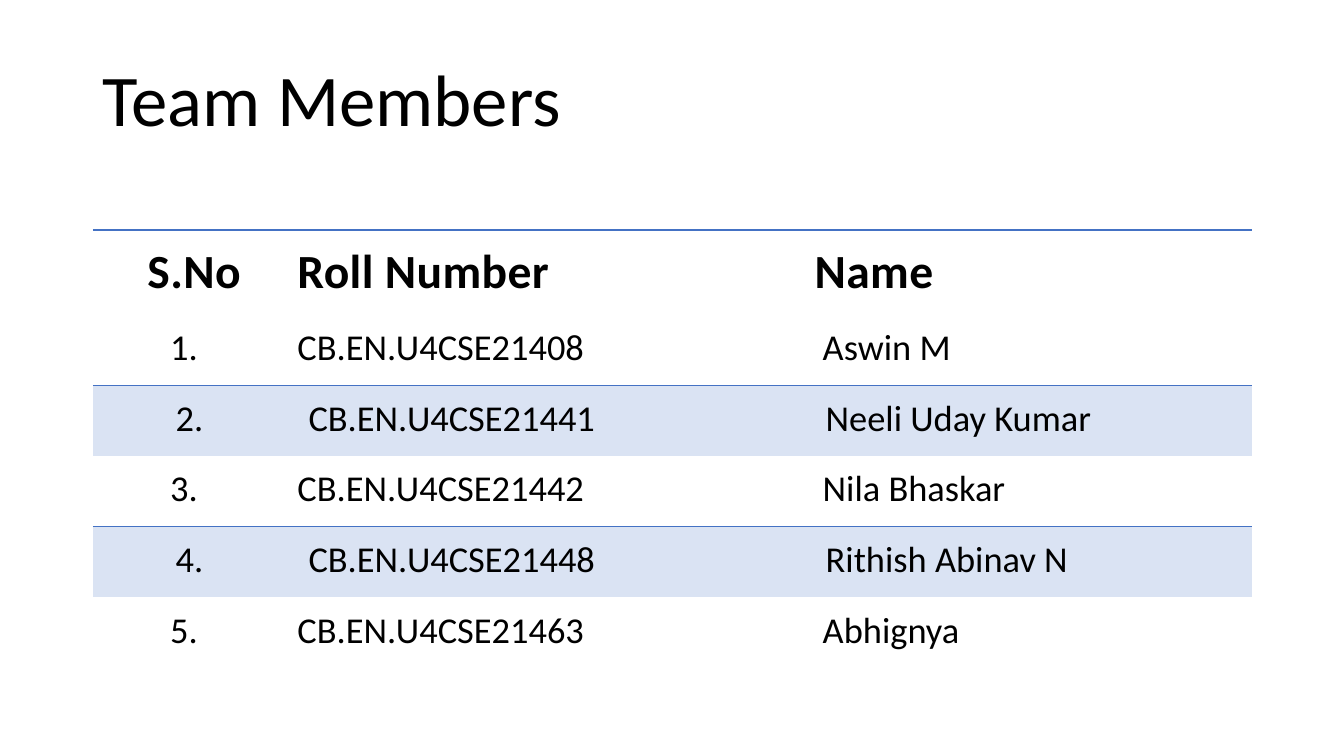
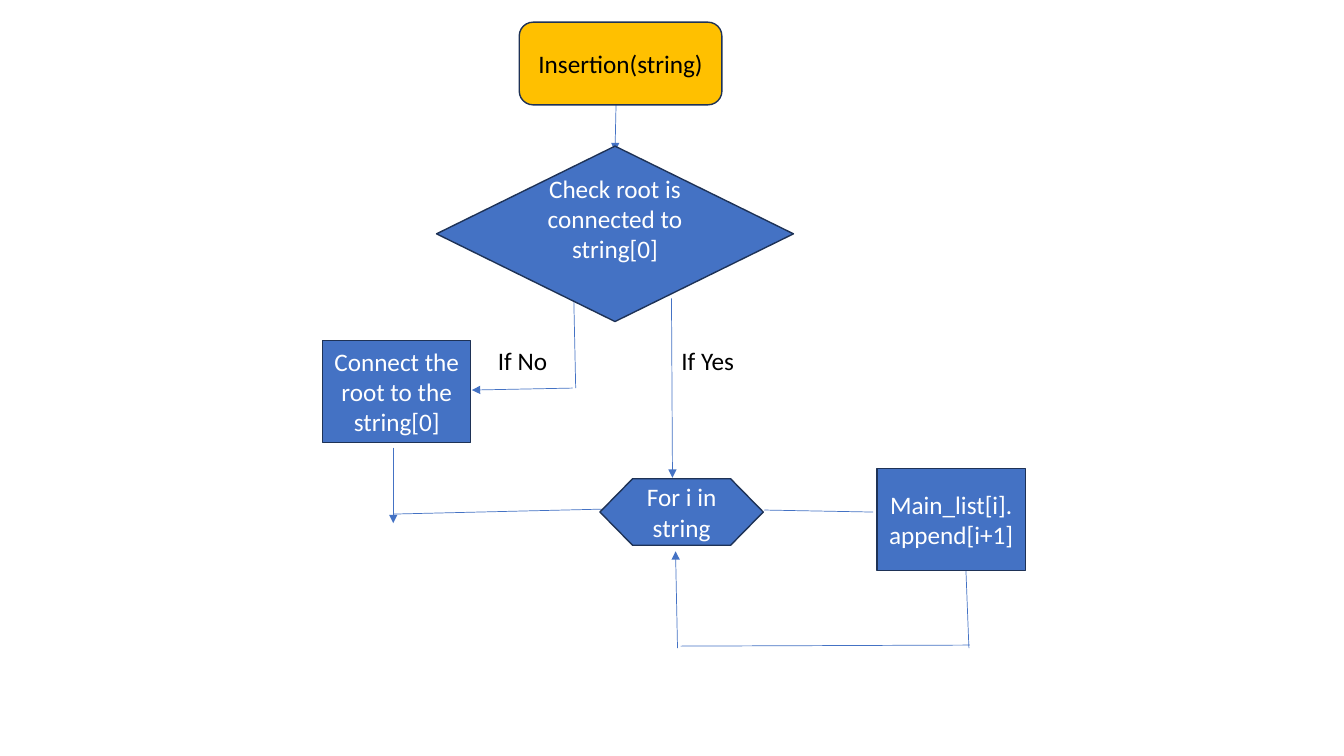
from lxml import etree
from pptx import Presentation
from pptx.dml.color import RGBColor
from pptx.enum.shapes import MSO_CONNECTOR, MSO_SHAPE
from pptx.enum.text import MSO_ANCHOR, PP_ALIGN
from pptx.oxml.ns import qn
from pptx.util import Inches, Pt

STRAIGHT = MSO_CONNECTOR.STRAIGHT
ROUNDED, RECTANGLE = MSO_SHAPE.ROUNDED_RECTANGLE, MSO_SHAPE.RECTANGLE
DECISION, PREPARATION = MSO_SHAPE.FLOWCHART_DECISION, MSO_SHAPE.FLOWCHART_PREPARATION
TOP, MIDDLE = MSO_ANCHOR.TOP, MSO_ANCHOR.MIDDLE
LEFT, CENTER = PP_ALIGN.LEFT, PP_ALIGN.CENTER

FONT = "Calibri"
BLUE, NAVY, AMBER, BAND = "4472C4", "1E3256", "FFC000", "DAE3F3"
BLACK, WHITE = "000000", "FFFFFF"

TITLE = {"size": Pt(52)}
HEADER = {"size": Pt(34), "bold": True}
BODY = {"size": Pt(26), "bold": False}
NODE = {"size": Pt(18)}

MEMBERS = [
    ("S.No", "Roll Number", "Name"),
    ("1.", "CB.EN.U4CSE21408", "Aswin M"),
    ("2.", "CB.EN.U4CSE21441", "Neeli Uday Kumar"),
    ("3.", "CB.EN.U4CSE21442", "Nila Bhaskar"),
    ("4.", "CB.EN.U4CSE21448", "Rithish Abinav N"),
    ("5.", "CB.EN.U4CSE21463", "Abhignya"),
]

STEP_SIZE = (1.47, 1.01)
NODES = [
    (ROUNDED, (1.95, 0, 2.01, 0.82), AMBER, BLACK, "Insertion(string)", 0.05),
    (RECTANGLE, (0, 3.16, *STEP_SIZE), BLUE, WHITE, "Connect the root to the string[0]", 0.05),
    (DECISION, (1.13, 1.23, 3.54, 1.74), BLUE, WHITE, "Check root is connected to string[0]", 0.35),
    (PREPARATION, (2.75, 4.53, 1.62, 0.66), BLUE, WHITE, "For i in string", 0.05),
    (RECTANGLE, (5.5, 4.43, *STEP_SIZE), BLUE, WHITE, "Main_list[i].append[i+1]", 0.05),
]
LABELS = [((3.46, 3.16, 0.83, 0.4), "If Yes"), ((1.64, 3.16, 0.85, 0.4), "If No")]
ARROWS = [
    (2.91, 0.82, 2.9, 1.28),
    (2.48, 3.63, 1.48, 3.65),
    (0.7, 4.22, 0.7, 4.97),
    (3.46, 2.74, 3.47, 4.52),
    (3.52, 6.21, 3.5, 5.25),
]
LINES = [
    (2.51, 3.63, 2.49, 2.69),
    (4.38, 4.84, 5.46, 4.86),
    (0.7, 4.88, 2.81, 4.83),
    (3.55, 6.19, 6.42, 6.18),
    (6.41, 6.21, 6.38, 5.43),
]


def color(value):
    return RGBColor.from_string(value)


def apply(target, values):
    for name, value in values.items():
        setattr(target, name, value)


def write(frame, text, style, ink=BLACK, align=LEFT):
    paragraph = frame.paragraphs[0]
    paragraph.alignment = align
    run = paragraph.add_run()
    run.text = text
    apply(run.font, {"name": FONT, **style})
    run.font.color.rgb = color(ink)
    return paragraph


def add_text(slide, box, text, style, anchor=TOP):
    shape = slide.shapes.add_textbox(*map(Inches, box))
    apply(shape.text_frame, {"word_wrap": True, "vertical_anchor": anchor})
    return write(shape.text_frame, text, style)


def add_title(slide, box, text):
    paragraph = add_text(slide, box, text, TITLE, MIDDLE)
    apply(paragraph, {"line_spacing": 0.9, "space_after": Pt(6)})


def set_borders(cell, top, bottom):
    properties = cell._tc.get_or_add_tcPr()
    for side, width in (("L", 0), ("R", 0), ("T", top), ("B", bottom)):
        border = etree.SubElement(properties, qn(f"a:ln{side}"), w=str(Pt(width)))
        if width:
            fill = etree.SubElement(border, qn("a:solidFill"))
            etree.SubElement(fill, qn("a:srgbClr"), val=BLUE)
        else:
            etree.SubElement(border, qn("a:noFill"))


def rule_above(row):
    if row == 0:
        return 1.5
    return 0.75 if row % 2 == 0 and row < len(MEMBERS) else 0


def format_cell(cell, row, column, text):
    header = row == 0
    banded = row % 2 == 0 and not header
    name_indent = 0.08 if column == 2 and not header else 0
    apply(cell, {
        "margin_left": Inches(0.11 if banded else name_indent),
        "margin_top": Inches(0.11),
        "margin_right": Inches(0.02 if header else 0.22),
        "margin_bottom": Inches(0.11),
        "vertical_anchor": MIDDLE if header else TOP,
    })
    set_borders(cell, rule_above(row), rule_above(row + 1))
    if banded:
        cell.fill.solid()
        cell.fill.fore_color.rgb = color(BAND)
    else:
        cell.fill.background()
    paragraph = write(cell.text_frame, text, HEADER if header else BODY,
                      align=LEFT if column else CENTER)
    if header:
        paragraph.runs[0].font._element.set("spc", "30")


def add_member_table(slide, box):
    left, top, width, height = box
    frame = slide.shapes.add_table(len(MEMBERS), 3, *map(Inches, box))
    table = frame.table
    apply(table, {"first_row": False, "horz_banding": False})
    for column, share in zip(table.columns, (2.03, 5.13, 4.34)):
        column.width = Inches(width * share / 11.5)
    header_height = 0.84
    body_height = (height - header_height) / (len(MEMBERS) - 1)
    for index, values in enumerate(MEMBERS):
        table.rows[index].height = Inches(body_height if index else header_height)
        for column, text in enumerate(values):
            format_cell(table.cell(index, column), index, column, text)


def add_line(slide, points, arrow):
    connector = slide.shapes.add_connector(STRAIGHT, *map(Inches, points))
    connector.line.color.rgb = color(BLUE)
    connector.line.width = Pt(0.5)
    if arrow:
        etree.SubElement(connector.line._get_or_add_ln(), qn("a:tailEnd"), type="triangle")
    etree.SubElement(connector._element.spPr, qn("a:effectLst"))


def add_node(slide, kind, box, fill, ink, text, bottom):
    shape = slide.shapes.add_shape(kind, *map(Inches, box))
    shape.shadow.inherit = False
    shape.fill.solid()
    shape.fill.fore_color.rgb = color(fill)
    shape.line.color.rgb = color(NAVY)
    shape.line.width = Pt(1)
    apply(shape.text_frame, {"word_wrap": True, "vertical_anchor": MIDDLE,
                             "margin_bottom": Inches(bottom)})
    write(shape.text_frame, text, NODE, ink, CENTER)


def add_flowchart(slide, left, top):
    def place(box):
        return box[0] + left, box[1] + top, *box[2:]

    for lines, arrow in ((ARROWS, True), (LINES, False)):
        for x1, y1, x2, y2 in lines:
            add_line(slide, (x1 + left, y1 + top, x2 + left, y2 + top), arrow)
    for kind, box, *details in NODES:
        add_node(slide, kind, place(box), *details)
    for box, text in LABELS:
        add_text(slide, place(box), text, NODE)


def main():
    presentation = Presentation()
    apply(presentation, {"slide_width": Inches(13.33), "slide_height": Inches(7.5)})
    blank = presentation.slide_layouts[6]

    members = presentation.slides.add_slide(blank)
    add_title(members, (0.92, 0.2, 11.5, 1.65), "Team Members")
    add_member_table(members, (0.92, 2.28, 11.5, 4.35))

    insertion = presentation.slides.add_slide(blank)
    add_flowchart(insertion, 3.2, 0.22)

    presentation.save("out.pptx")


if __name__ == "__main__":
    main()
